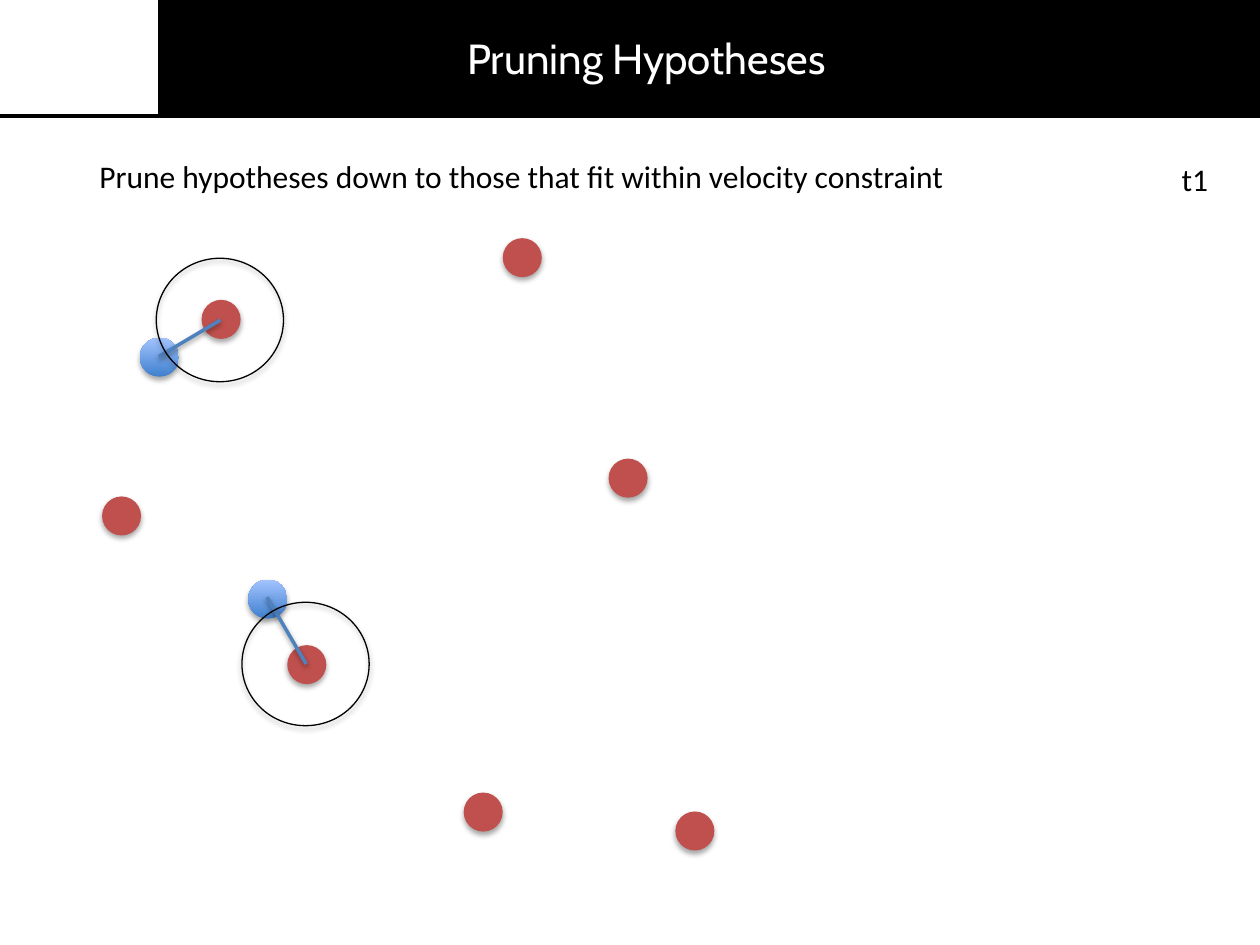
import pptx
import pptx.dml.color
import pptx.enum.shapes
import pptx.enum.text
import pptx.util
from lxml import etree
from pptx.util import Inches

SHAPES = pptx.enum.shapes.MSO_SHAPE
ALIGN = pptx.enum.text.PP_ALIGN
AUTO_SIZE = pptx.enum.text.MSO_AUTO_SIZE
DRAWING = "{http://schemas.openxmlformats.org/drawingml/2006/main}"


class Theme:
    black, white = "000000", "FFFFFF"
    red, link = "C0504D", "4F81BD"
    blue = ("3F80CE", "A4C4FF")  # bottom, top
    title = {"name": "Cabin", "size": pptx.util.Pt(24)}
    body = {"name": "Calibri", "size": pptx.util.Pt(18)}
    thin, thick = 0.75, 2
    dot_shadow = {"alpha": 35, "blur": 3.1, "dist": 1.8}
    link_shadow = {"alpha": 38, "blur": 3.1, "dist": 1.6}


def rgb(value):
    return pptx.dml.color.RGBColor.from_string(value)


class SlideBuilder:
    def __init__(self, page, theme):
        self.page = page
        self.theme = theme

    def effects(self, item, shadow=None):
        """Replace the default effects, with a downward shadow if given."""
        effects = etree.SubElement(item._element.spPr, DRAWING + "effectLst")
        if shadow:
            outer = etree.SubElement(
                effects, DRAWING + "outerShdw",
                blurRad=str(pptx.util.Pt(shadow["blur"])),
                dist=str(pptx.util.Pt(shadow["dist"])),
                dir=str(90 * 60000), rotWithShape="0")
            color = etree.SubElement(outer, DRAWING + "srgbClr", val=self.theme.black)
            etree.SubElement(color, DRAWING + "alpha", val=str(shadow["alpha"] * 1000))

    def shape(self, kind, left, top, width, height, fill=None, line=None, shadow=None):
        item = self.page.shapes.add_shape(
            kind, Inches(left), Inches(top), Inches(width), Inches(height))
        if fill is None:
            item.fill.background()
        elif isinstance(fill, tuple):
            item.fill.gradient()
            item.fill.gradient_angle = 90
            for stop, color in zip(item.fill.gradient_stops, fill):
                stop.color.rgb = rgb(color)
        else:
            item.fill.solid()
            item.fill.fore_color.rgb = rgb(fill)
        if line:
            item.line.color.rgb = rgb(line)
            item.line.width = pptx.util.Pt(self.theme.thin)
        else:
            item.line.fill.background()
        self.effects(item, shadow)

    def dot(self, left, top, fill):
        self.shape(SHAPES.OVAL, left, top, 0.31, 0.31, fill,
                   shadow=self.theme.dot_shadow)

    def gate(self, left, top):
        self.shape(SHAPES.OVAL, left, top, 1.01, 0.98, line=self.theme.black,
                   shadow=self.theme.dot_shadow)

    def line(self, start, end, color, shadow=None):
        item = self.page.shapes.add_connector(
            pptx.enum.shapes.MSO_CONNECTOR.STRAIGHT, *map(Inches, start + end))
        item.line.color.rgb = rgb(color)
        item.line.width = pptx.util.Pt(self.theme.thick)
        self.effects(item, shadow)

    def text(self, words, left, top, width, height, style, color,
             align=ALIGN.LEFT, wrap=True):
        box = self.page.shapes.add_textbox(
            Inches(left), Inches(top), Inches(width), Inches(height))
        box.text_frame.word_wrap = wrap
        box.text_frame.auto_size = AUTO_SIZE.SHAPE_TO_FIT_TEXT
        para = box.text_frame.paragraphs[0]
        para.alignment = align
        span = para.add_run()
        span.text = words
        for name, value in style.items():
            setattr(span.font, name, value)
        span.font.color.rgb = rgb(color)


def main():
    deck = pptx.Presentation()
    deck.slide_width, deck.slide_height = Inches(10), Inches(7.5)
    theme = Theme()
    slide = SlideBuilder(deck.slides.add_slide(deck.slide_layouts[6]), theme)

    # Title band
    slide.line((0, 0.92), (10, 0.92), theme.black)
    slide.shape(SHAPES.RECTANGLE, 1.26, 0, 8.74, 0.91, theme.black, theme.black)
    slide.text("Pruning Hypotheses", 1.31, 0.21, 7.64, 0.5,
               theme.title, theme.white, ALIGN.CENTER)

    # Tracked points (blue) and new detections (red)
    for left, top in ((1.11, 2.68), (1.97, 4.6)):
        slide.dot(left, top, theme.blue)
    for left, top in ((1.6, 2.38), (4.83, 3.64), (2.28, 5.12), (0.81, 3.94),
                      (3.68, 6.29), (3.99, 1.89), (5.36, 6.44)):
        slide.dot(left, top, theme.red)

    # Statement
    slide.text("Prune hypotheses down to those that fit within velocity constraint",
               0.69, 1.2, 7.16, 0.4, theme.body, theme.black)

    # Remaining hypotheses
    for start, end in (((1.26, 2.83), (1.75, 2.54)), ((2.12, 4.74), (2.43, 5.27))):
        slide.line(start, end, theme.link, theme.link_shadow)

    # Time step
    slide.text("t1", 9.28, 1.22, 0.41, 0.4, theme.body, theme.black, wrap=False)

    # Velocity gates
    for left, top in ((1.92, 4.78), (1.24, 2.05)):
        slide.gate(left, top)

    deck.save("out.pptx")


if __name__ == "__main__":
    main()
